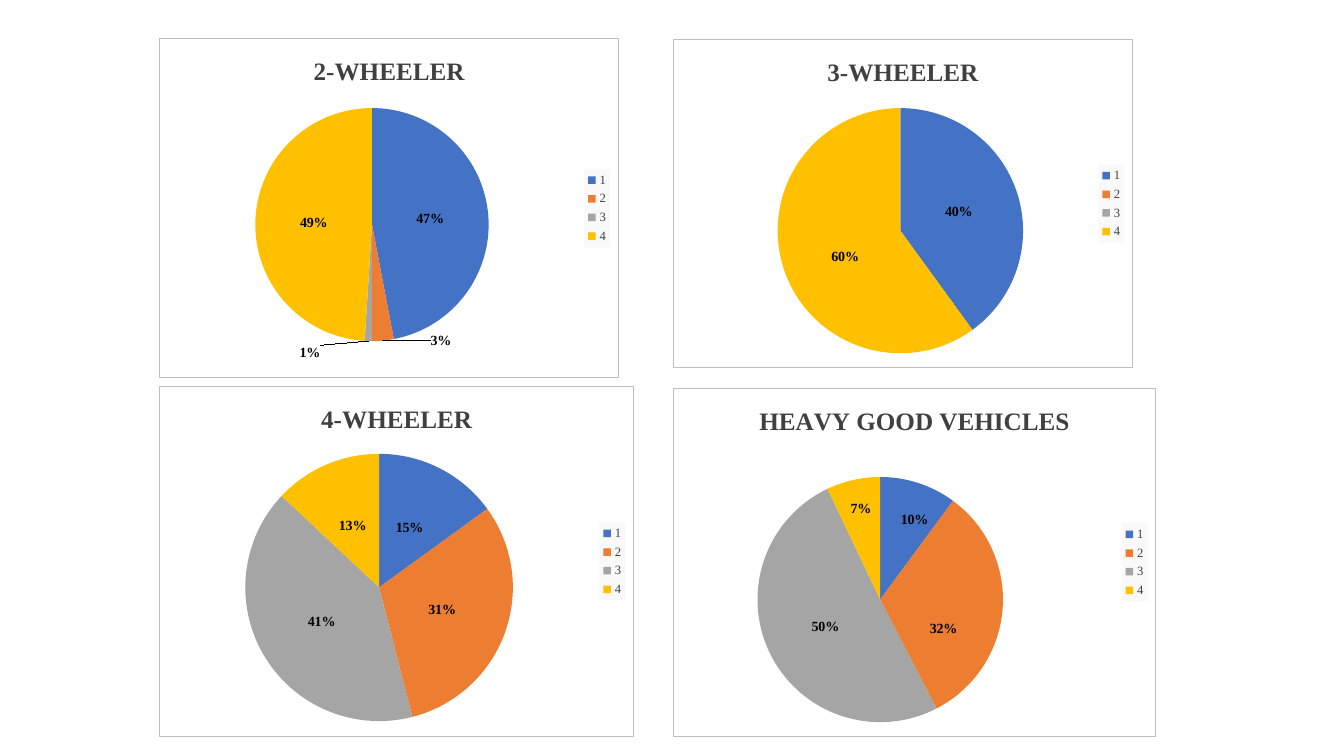
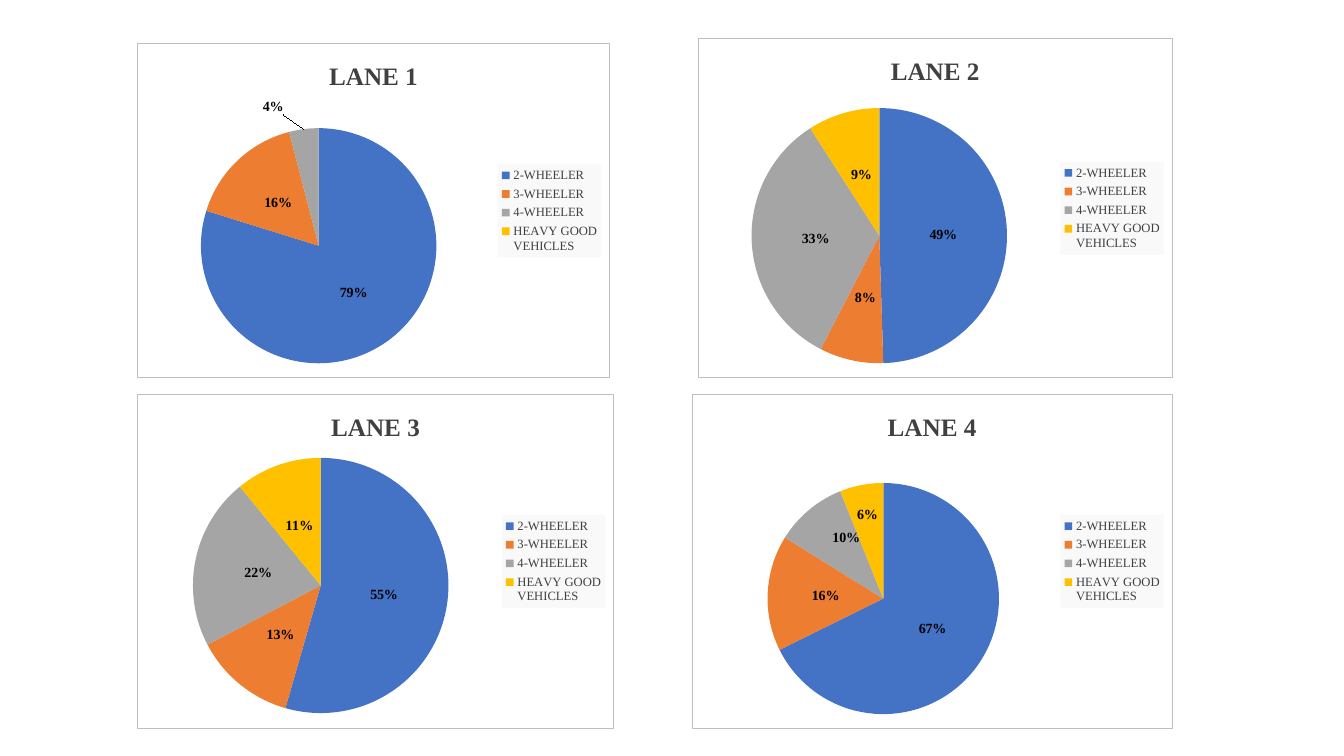
"""Build two slides of traffic share pie charts, by vehicle type and by lane."""
import pptx
import pptx.chart.data
import pptx.dml.color
import pptx.enum.chart
import pptx.oxml
import pptx.oxml.ns
import pptx.util

PX = 9144
COLOURS = {
    "text": "404040", "label": "000000", "border": "BFBFBF",
    "panel": "FFFFFF", "legend": "F2F2F2",
}
SLICES = ["4472C4", "ED7D31", "A5A5A5", "FFC000"]
BASE = {"name": "Times New Roman", "size": pptx.util.Pt(10), "bold": False}
TITLE = BASE | {"size": pptx.util.Pt(18), "bold": True}
LEGEND = BASE | {"size": pptx.util.Pt(9)}
LABEL = BASE | {"bold": True}
PERCENT = '0"%"'
PERCENT_NO_ZERO = '0"%";;'
CENTER = pptx.enum.chart.XL_LABEL_POSITION.CENTER

LANES = ["1", "2", "3", "4"]
VEHICLES = ["2-WHEELER", "3-WHEELER", "4-WHEELER", "HEAVY GOOD VEHICLES"]

# title, shares, panel box, pie centre and radius, label shifts by slice
SLIDES = [
    (LANES, [
        ("2-WHEELER", (47, 3, 1, 49), (158, 38, 456, 337), (369, 223, 116),
         {1: (63, 58), 2: (-60, 70)}, PERCENT),
        ("3-WHEELER", (40, 0, 0, 60), (667, 39, 457, 326), (893, 229, 122),
         {3: (3, 7)}, PERCENT_NO_ZERO),
        ("4-WHEELER", (15, 31, 41, 13), (158, 383, 471, 348), (376, 583, 133),
         {}, PERCENT),
        ("HEAVY GOOD VEHICLES", (10, 32, 50, 7), (667, 385, 480, 346), (873, 595, 122),
         {0: (15, -21), 1: (2, 24), 3: (-6, -31)}, PERCENT),
    ]),
    (VEHICLES, [
        ("LANE 1", (79, 16, 4, 0), (136, 43, 469, 332), (316, 244, 117),
         {2: (-38, -80), 3: (64, -66)}, PERCENT),
        ("LANE 2", (49, 8, 33, 9), (692, 38, 471, 337), (872, 234, 127),
         {}, PERCENT),
        ("LANE 3", (55, 13, 22, 11), (136, 391, 473, 332), (318, 581, 127),
         {}, PERCENT),
        ("LANE 4", (67, 16, 10, 6), (686, 391, 477, 332), (876, 594, 115),
         {2: (0, -17), 3: (-5, -27)}, PERCENT),
    ]),
]


def style(font, values, colour):
    for attribute, value in values.items():
        setattr(font, attribute, value)
    font.color.rgb = pptx.dml.color.RGBColor.from_string(COLOURS[colour])


def chart_xml(tag, content="", attributes=""):
    namespaces = pptx.oxml.ns.nsdecls("c", "a")
    return pptx.oxml.parse_xml(f"<c:{tag} {namespaces} {attributes}>{content}</c:{tag}>")


deck = pptx.Presentation()
deck.slide_width, deck.slide_height = 1333 * PX, 750 * PX

for categories, panels in SLIDES:
    slide = deck.slides.add_slide(deck.slide_layouts[6])
    for title, shares, box, (centre_x, centre_y, radius), shifts, number_format in panels:
        left, top, width, height = box
        data = pptx.chart.data.CategoryChartData()
        data.categories = categories
        data.add_series(title, shares)
        chart = slide.shapes.add_chart(
            pptx.enum.chart.XL_CHART_TYPE.PIE, *(length * PX for length in box), data).chart
        style(chart.font, BASE, "label")

        chart.has_title = True
        heading = chart.chart_title.text_frame
        heading.text = title
        style(heading.paragraphs[0].runs[0].font, TITLE, "text")

        chart.has_legend = True
        chart.legend.position = pptx.enum.chart.XL_LEGEND_POSITION.RIGHT
        chart.legend.include_in_layout = False
        style(chart.legend.font, LEGEND, "text")

        chart.plots[0].vary_by_categories = True
        pie = chart.plots[0].series[0]
        for index, colour in enumerate(SLICES):
            fill = pie.points[index].format.fill
            fill.solid()
            fill.fore_color.rgb = pptx.dml.color.RGBColor.from_string(colour)

        labels = pie.data_labels
        for attribute, value in {
            "show_value": True, "show_percentage": False, "position": CENTER,
            "number_format": number_format, "number_format_is_linked": False,
        }.items():
            setattr(labels, attribute, value)
        style(labels.font, LABEL, "label")
        for index in shifts:
            label = pie.points[index].data_label
            style(label.font, LABEL, "label")
            label.position = CENTER

        root = chart.element
        for label in root.xpath(".//c:dLbl"):
            index = label.xpath("c:idx")[0]
            shift_x, shift_y = shifts[int(index.get("val"))]
            index.addnext(chart_xml(
                "numFmt", attributes=f"formatCode='{number_format.replace(chr(34), '&quot;')}' sourceLinked='0'"))
            index.addnext(chart_xml(
                "layout",
                f'<c:manualLayout><c:x val="{shift_x / width:.4f}"/>'
                f'<c:y val="{shift_y / height:.4f}"/></c:manualLayout>'))

        plot_area = root.xpath(".//c:plotArea")[0]
        for automatic in plot_area.xpath("c:layout"):
            plot_area.remove(automatic)
        plot_area.insert(0, chart_xml(
            "layout",
            '<c:manualLayout><c:layoutTarget val="inner"/>'
            '<c:xMode val="edge"/><c:yMode val="edge"/>'
            f'<c:x val="{(centre_x - radius - left) / width:.4f}"/>'
            f'<c:y val="{(centre_y - radius - top) / height:.4f}"/>'
            f'<c:w val="{2 * radius / width:.4f}"/>'
            f'<c:h val="{2 * radius / height:.4f}"/></c:manualLayout>'))

        root.xpath(".//c:legend/c:overlay")[0].addnext(chart_xml(
            "spPr",
            f'<a:solidFill><a:srgbClr val="{COLOURS["legend"]}">'
            '<a:alpha val="39000"/></a:srgbClr></a:solidFill>'))
        root.xpath("c:chart")[0].addnext(chart_xml(
            "spPr",
            f'<a:solidFill><a:srgbClr val="{COLOURS["panel"]}"/></a:solidFill>'
            f'<a:ln w="9525"><a:solidFill><a:srgbClr val="{COLOURS["border"]}"/>'
            '</a:solidFill></a:ln>'))
        for rounded in root.xpath("c:roundedCorners"):
            root.remove(rounded)
        root.insert(len(root.xpath("c:date1904")), chart_xml("roundedCorners", attributes='val="0"'))

deck.save("out.pptx")
